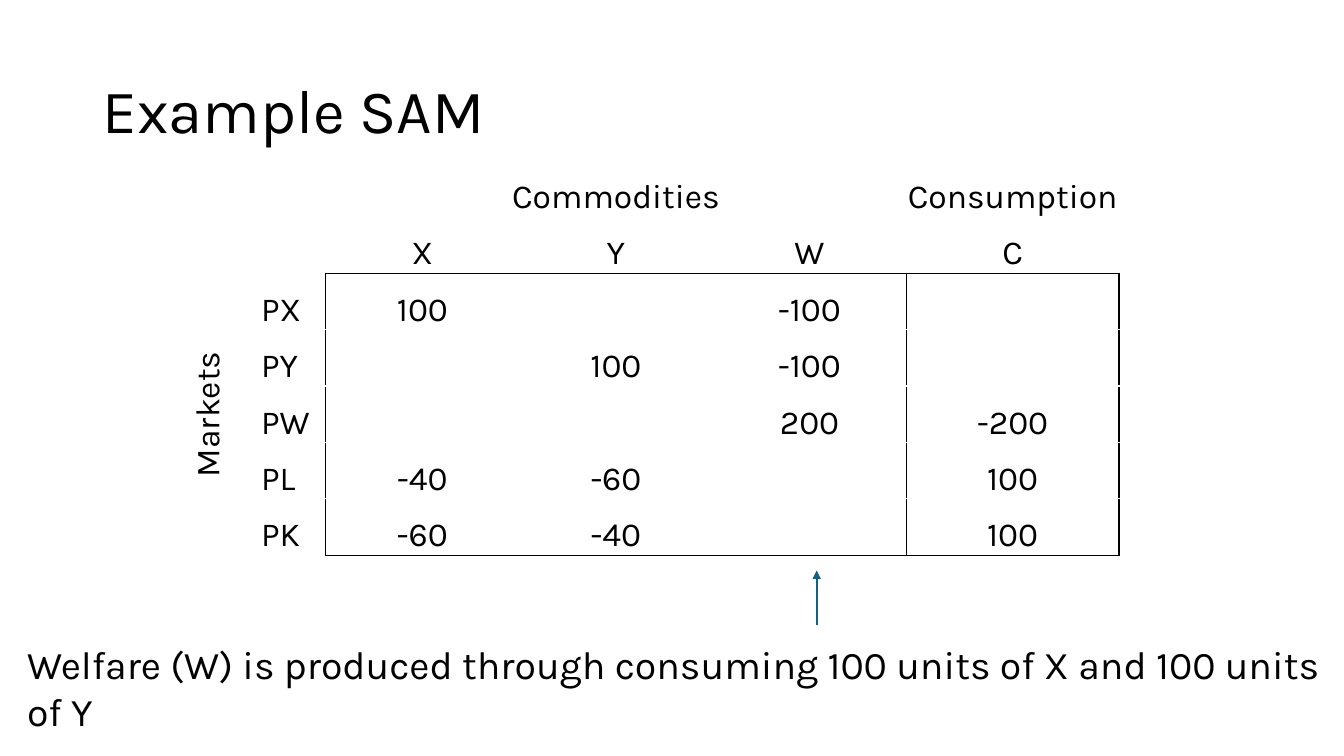
from lxml.etree import SubElement
from pptx import Presentation
from pptx.dml.color import RGBColor
from pptx.enum.shapes import MSO_CONNECTOR
from pptx.enum.text import MSO_ANCHOR, MSO_AUTO_SIZE, PP_ALIGN
from pptx.oxml import parse_xml
from pptx.oxml.ns import nsdecls, qn
from pptx.util import Inches, Pt

FONT = "Karla"
BLACK, WHITE, TEAL = "000000", "FFFFFF", "156082"
COLUMN_WIDTHS = [0.72, 0.65, 1.92, 1.92, 1.92, 2.11]
ROW_HEIGHTS = [1.03] + [0.56] * 6
ROWS = [
    ["", "", "Commodities", "", "", "Consumption"],
    ["", "", "X", "Y", "W", "C"],
    ["Markets", "PX", "100", "", "-100", ""],
    ["", "PY", "", "100", "-100", ""],
    ["", "PW", "", "", "200", "-200"],
    ["", "PL", "-40", "-60", "", "100"],
    ["", "PK", "-60", "-40", "", "100"],
]


def color(value):
    return RGBColor.from_string(value)


def style_paragraph(paragraph, size):
    paragraph.font.name = FONT
    paragraph.font.size = Pt(size)
    paragraph.font.color.rgb = color(BLACK)


def add_title(slide, left, top, width, height):
    box = slide.shapes.add_textbox(Inches(left), Inches(top), Inches(width), Inches(height))
    frame = box.text_frame
    frame.word_wrap = True
    frame.vertical_anchor = MSO_ANCHOR.MIDDLE
    paragraph = frame.paragraphs[0]
    paragraph.text = "Example SAM"
    paragraph.line_spacing = 0.9
    style_paragraph(paragraph, 44)


def set_borders(cell, row, column):
    # Black lines frame the commodity block and the consumption column
    body = row >= 2
    black_sides = {
        "L": body and column in (2, 5),
        "R": body and column in (1, 4, 5),
        "T": row == 2 and column >= 2,
        "B": row in (1, 6) and column >= 2,
    }
    properties = cell._tc.get_or_add_tcPr()
    for position, (side, is_black) in enumerate(black_sides.items()):
        value = BLACK if is_black else WHITE
        properties.insert(position, parse_xml(
            f'<a:ln{side} {nsdecls("a")} w="12700"><a:solidFill>'
            f'<a:srgbClr val="{value}"/></a:solidFill></a:ln{side}>'))


def fill_cell(cell, row, column):
    cell.fill.background()
    cell.margin_left = cell.margin_right = cell.margin_top = Inches(0.01)
    cell.margin_bottom = 0
    cell.vertical_anchor = MSO_ANCHOR.BOTTOM
    paragraph = cell.text_frame.paragraphs[0]
    paragraph.text = ROWS[row][column]
    paragraph.alignment = PP_ALIGN.LEFT if column == 1 else PP_ALIGN.CENTER
    style_paragraph(paragraph, 24)
    set_borders(cell, row, column)


def add_accounting_table(slide, left, top):
    frame = slide.shapes.add_table(
        len(ROWS), len(COLUMN_WIDTHS), Inches(left), Inches(top),
        Inches(sum(COLUMN_WIDTHS)), Inches(sum(ROW_HEIGHTS)))
    table = frame.table
    table.first_row = table.horz_banding = False
    for column, width in zip(table.columns, COLUMN_WIDTHS):
        column.width = Inches(width)
    for row, height in zip(table.rows, ROW_HEIGHTS):
        row.height = Inches(height)
    for row in range(len(ROWS)):
        for column in range(len(COLUMN_WIDTHS)):
            fill_cell(table.cell(row, column), row, column)
    table.cell(0, 2).merge(table.cell(0, 4))

    # Upright label beside the market rows
    markets = table.cell(2, 0)
    markets.merge(table.cell(6, 0))
    markets.vertical_anchor = MSO_ANCHOR.MIDDLE
    markets._tc.get_or_add_tcPr().set("vert", "vert270")


def add_welfare_note(slide, left, top, width, height):
    box = slide.shapes.add_textbox(Inches(left), Inches(top), Inches(width), Inches(height))
    frame = box.text_frame
    frame.word_wrap = False
    frame.auto_size = MSO_AUTO_SIZE.SHAPE_TO_FIT_TEXT
    paragraph = frame.paragraphs[0]
    paragraph.text = ("Welfare (W) is produced through consuming "
                      "100 units of X and 100 units of Y")
    style_paragraph(paragraph, 28)


def add_up_arrow(slide, left, top, height):
    arrow = slide.shapes.add_connector(
        MSO_CONNECTOR.STRAIGHT, Inches(left), Inches(top + height), Inches(left), Inches(top))
    arrow.line.color.rgb = color(TEAL)
    arrow.line.width = Pt(1.5)
    SubElement(arrow.line._get_or_add_ln(), qn("a:tailEnd"), type="triangle")
    SubElement(arrow._element.spPr, qn("a:effectLst"))


def main():
    presentation = Presentation()
    presentation.slide_width = Inches(13.33)
    presentation.slide_height = Inches(7.5)
    slide = presentation.slides.add_slide(presentation.slide_layouts[6])
    add_accounting_table(slide, 1.86, 1.12)
    add_welfare_note(slide, 0.17, 6.3, 13.03, 0.57)
    add_up_arrow(slide, 8.1, 5.66, 0.54)
    add_title(slide, 0.92, 0.4, 11.5, 1.45)
    presentation.save("out.pptx")


if __name__ == "__main__":
    main()
